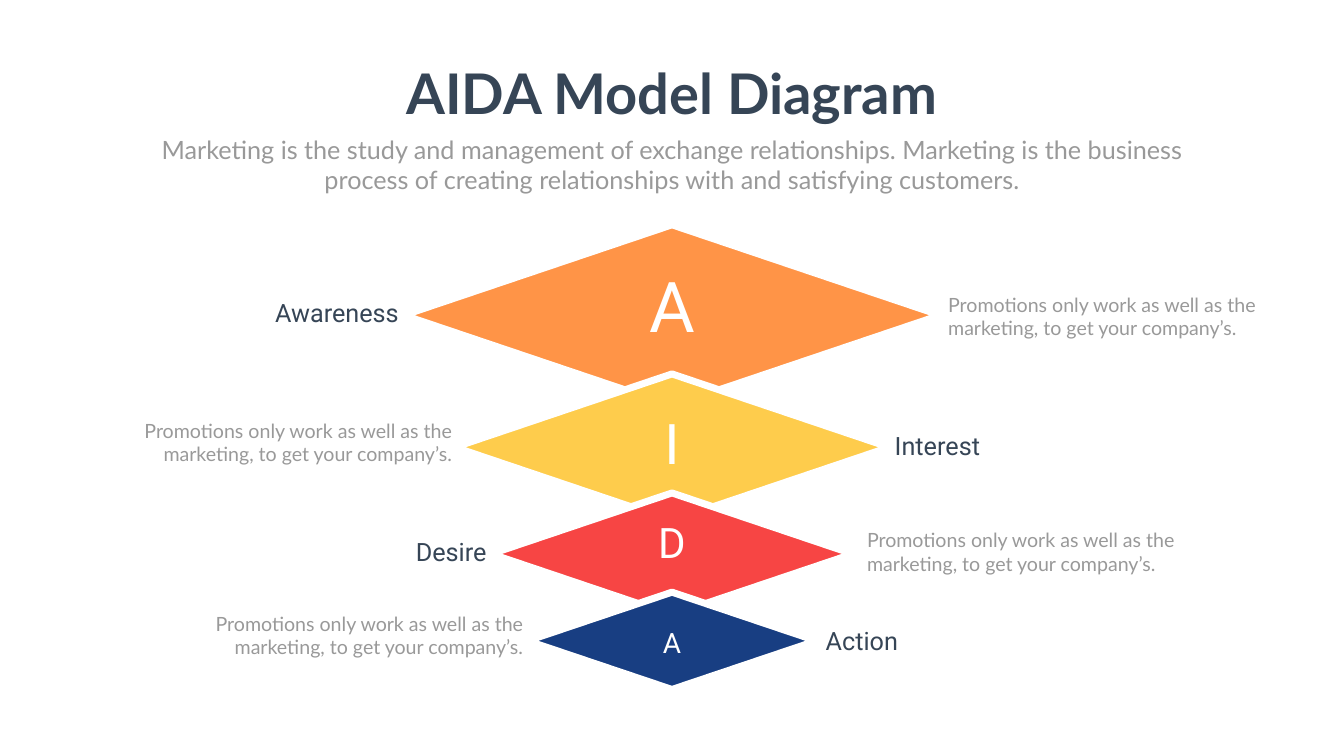
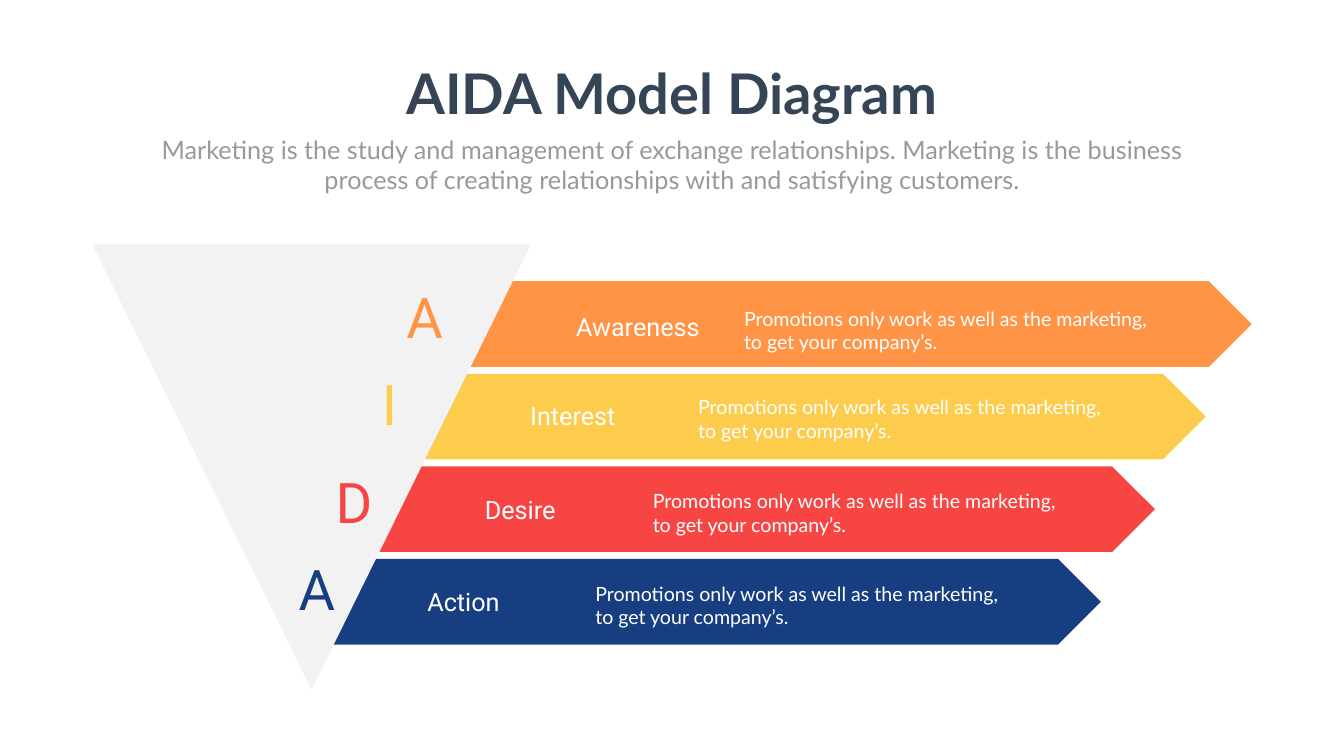
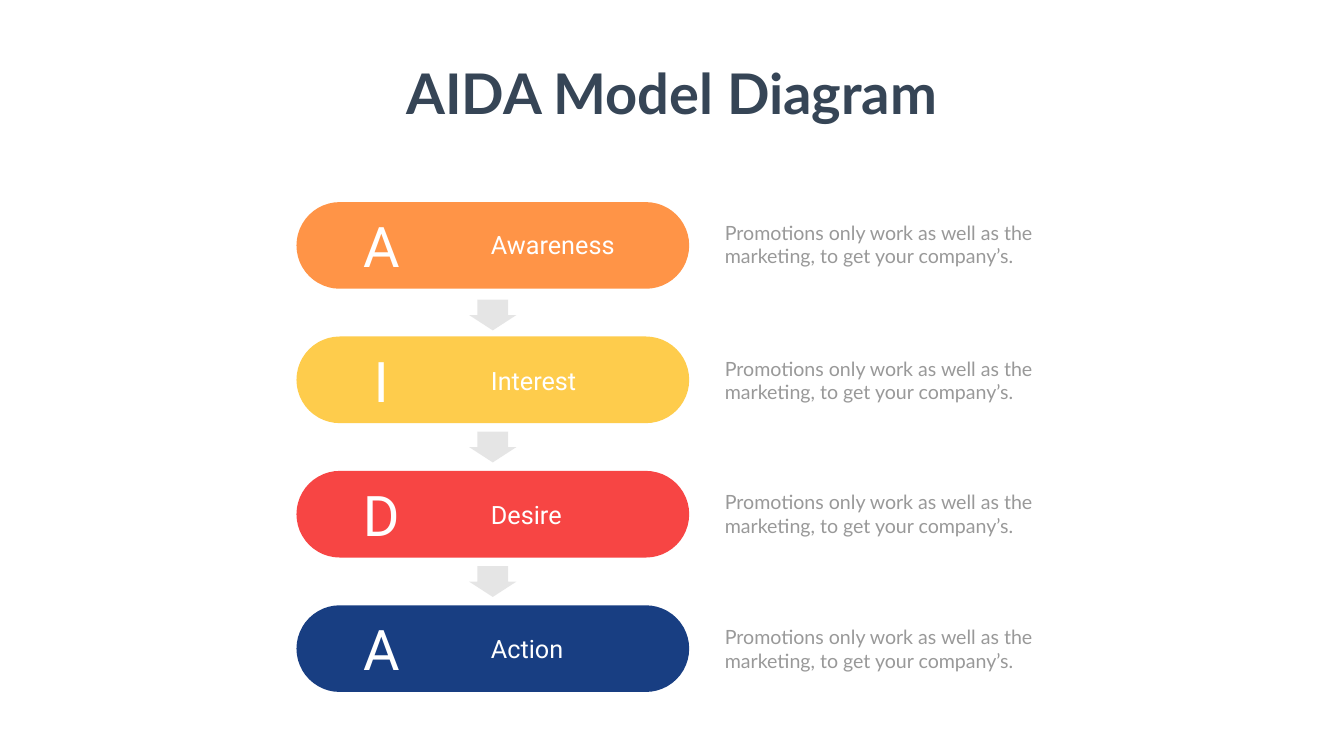
from lxml.etree import SubElement as Sub
from pptx import Presentation
from pptx.dml.color import RGBColor as RGB
from pptx.enum.shapes import MSO_SHAPE as Kind
from pptx.enum.text import MSO_ANCHOR as Anchor, MSO_AUTO_SIZE as Fit, PP_ALIGN as Align
from pptx.oxml.ns import qn
from pptx.util import Pt

WIDE, HIGH = 1919.52, 1080
MID = WIDE / 2
HUES = {
    "orange": "FF9447", "yellow": "FECC4C", "red": "F74544", "navy": "183E82",
    "ink": "364556", "gray": "999999", "pale": "F2F2F2", "arrow": "808080",
    "white": "FFFFFF",
}
STEPS = [
    ("A", "Awareness", "orange"),
    ("I", "Interest", "yellow"),
    ("D", "Desire", "red"),
    ("A", "Action", "navy"),
]
TITLE = "AIDA Model Diagram"
LEAD = ("Marketing is the study and management of exchange relationships. "
        "Marketing is the business process of creating relationships with "
        "and satisfying customers.")
NOTE = "Promotions only work as well as the marketing, to get your company’s."


def tint(name):
    return RGB.from_string(HUES[name])


def write(slide, text, x, y, w, h, size=28, font="Lato", hue="gray",
          align=Align.LEFT, bold=False, wrap=True, box=None):
    if box is None:
        box = slide.shapes.add_textbox(Pt(x), Pt(y), Pt(w), Pt(h))
    else:
        box.left, box.top, box.width, box.height = Pt(x), Pt(y), Pt(w), Pt(h)
    frame = box.text_frame
    frame.text = text
    frame.word_wrap = wrap
    frame.auto_size = Fit.SHAPE_TO_FIT_TEXT
    frame.vertical_anchor = Anchor.TOP
    para = frame.paragraphs[0]
    para.alignment = align
    para.line_spacing = 1.0
    para.space_before = Pt(0)
    face = para.runs[0].font
    face.size, face.name, face.bold = Pt(size), font, bold
    face.color.rgb = tint(hue)


def label(slide, text, x, y, hue="white", align=Align.LEFT):
    write(slide, text, x, y, 249.1, 51.1, size=36, font="Roboto", hue=hue, align=align)


def letter(slide, text, x, y, w, h=104.4, size=80, hue="white"):
    write(slide, text, x, y, w, h, size=size, font="Roboto", hue=hue, align=Align.CENTER)


def note(slide, x, y, w=467.5, **form):
    write(slide, NOTE, x, y, w, 74.9, **form)


def draw(slide, kind, x, y, w, h, hue, edge=0, turn=0, bends=(), alpha=None):
    shape = slide.shapes.add_shape(kind, Pt(x), Pt(y), Pt(w), Pt(h))
    shape.shadow.inherit = False
    shape.rotation = turn
    for i, bend in enumerate(bends):
        shape.adjustments[i] = bend
    shape.fill.solid()
    shape.fill.fore_color.rgb = tint(hue)
    if alpha:
        tone = shape.fill._xPr.find(".//" + qn("a:srgbClr"))
        Sub(tone, qn("a:alpha")).set("val", str(alpha * 1000))
    if edge:
        shape.line.color.rgb = tint("white")
        shape.line.width = Pt(edge)
    else:
        shape.line.fill.background()


def start(deck, lead=True):
    slide = deck.slides.add_slide(deck.slide_layouts[0 if lead else 5])
    write(slide, TITLE, 565.92, 80.64, 787.68, 104.4, size=80, hue="ink", bold=True,
          align=Align.CENTER, wrap=False, box=slide.shapes.title)
    if lead:
        write(slide, LEAD, 210.24, 187.92, 1499.04, 94.3, size=36,
              align=Align.CENTER, box=slide.placeholders[1])
    return slide


def gems(deck):
    slide = start(deck)
    sizes = [(321.1, 766.1, 258.5), (534.2, 620.6, 209.5),
             (704.2, 516.2, 174.2), (846, 412.6, 139)]
    for (top, w, h), (_, _, hue) in zip(sizes, STEPS):
        draw(slide, Kind.FLOWCHART_DECISION, MID - w / 2, top, w, h, hue, edge=10)
    caps = [(370.8, 149.8, 100), (579.6, 121.7, 80), (734.4, 93.6, 60), (890.6, 64.8, 40)]
    names = [(327.6, 421.2), (1270.8, 611.3), (452.9, 763.2), (1172.2, 889.9)]
    notes = [(1347.1, 414.7), (185, 594.7), (1231.2, 751), (286.6, 870.5)]
    for i, (sign, name, _) in enumerate(STEPS):
        y, h, size = caps[i]
        letter(slide, sign, MID - 116.3, y, 232.6, h, size)
        sides = (Align.RIGHT, Align.LEFT)
        label(slide, name, *names[i], hue="ink", align=sides[i % 2])
        note(slide, *notes[i], align=sides[1 - i % 2])


def funnel(deck):
    slide = start(deck)
    lefts = [659.5, 594, 521.3, 444.2]
    for i, (left, (_, _, hue)) in enumerate(zip(lefts, STEPS)):
        draw(slide, Kind.PENTAGON, left, 401.8 + 132.2 * i, 1128.2, 122.4, hue)
    draw(slide, Kind.ISOSCELES_TRIANGLE, 131.8, 349.2, 626.4, 635.8, "pale", turn=180)
    notes = [(1055.5, 434.2), (990, 560.9), (925.2, 695.5), (843.1, 827.3)]
    caps = [(564.5, 400.3), (514.1, 524.9), (463.7, 663.8), (410.4, 789.1)]
    for (x, y), cap, (sign, name, hue) in zip(notes, caps, STEPS):
        note(slide, x, y, w=611.3, hue="white")
        label(slide, name, x - 239.8, y + 6.8)
        letter(slide, sign, *cap, 84.2, hue=hue)


def pills(deck):
    slide = start(deck, lead=False)
    names = [324, 517.7, 709.2, 901.4]
    notes = [311.8, 506.2, 697, 889.2]
    for i, (sign, name, hue) in enumerate(STEPS):
        top = 288.7 + 192 * i
        draw(slide, Kind.ROUNDED_RECTANGLE, 423.4, top, 560.9, 123.8, hue, bends=[0.5])
        label(slide, name, 694.1, names[i])
        letter(slide, sign, 494.6, top + 10.1, 100.1)
        note(slide, 1028.2, notes[i], w=468)
    for y in (416.2, 604.8, 797):
        draw(slide, Kind.RIGHT_ARROW, 681.8, y, 43.9, 67.7, "arrow",
             turn=90, bends=[0.65, 0.5], alpha=20)


def main():
    """Build the three AIDA slides."""
    deck = Presentation()
    deck.slide_width, deck.slide_height = Pt(WIDE), Pt(HIGH)
    for build in (gems, funnel, pills):
        build(deck)
    deck.save("out.pptx")


if __name__ == "__main__":
    main()
